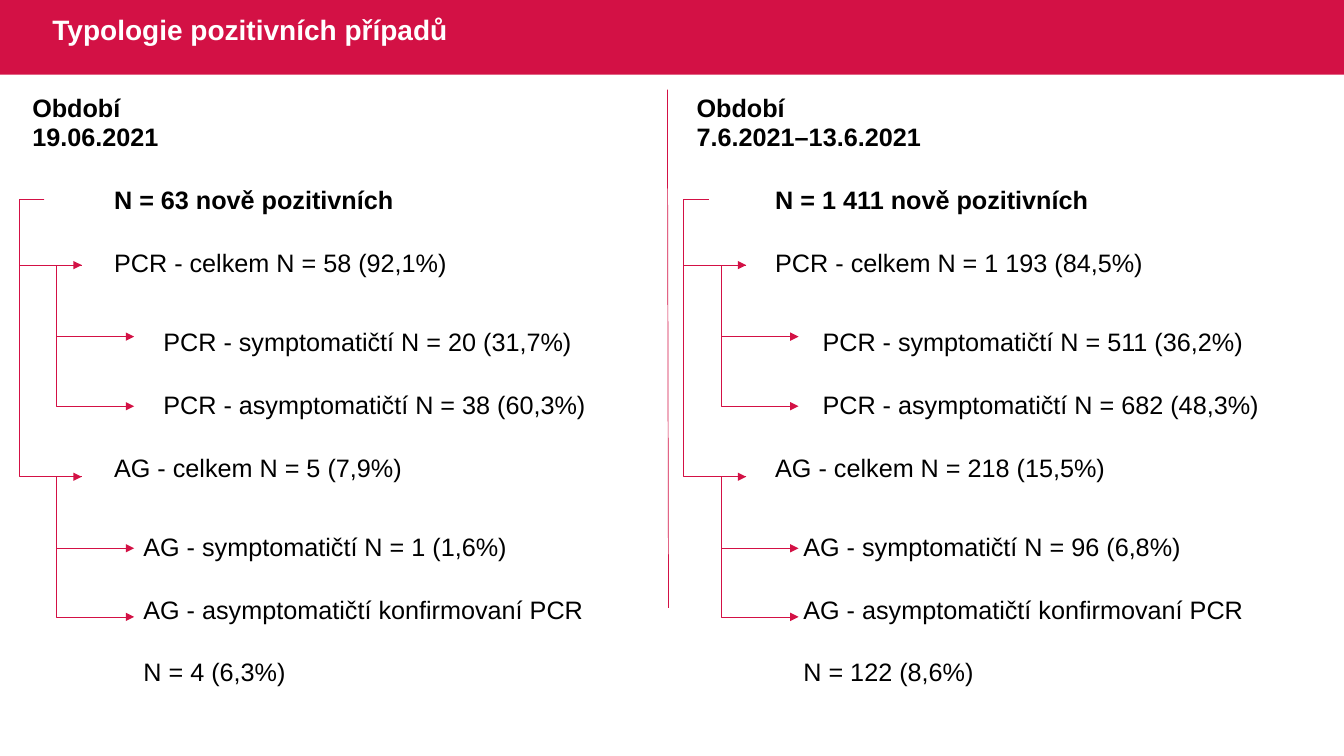
from dataclasses import dataclass
from typing import Any

from lxml.etree import SubElement
from pptx import Presentation
from pptx.dml.color import RGBColor
from pptx.enum.shapes import MSO_CONNECTOR, MSO_SHAPE
from pptx.enum.text import MSO_ANCHOR, MSO_AUTO_SIZE, PP_ALIGN
from pptx.oxml.ns import qn
from pptx.util import Inches, Pt


@dataclass(frozen=True)
class Theme:
    """Colours, font and sizes of the slide."""
    crimson: RGBColor = RGBColor(0xD3, 0x11, 0x45)
    black: RGBColor = RGBColor(0, 0, 0)
    white: RGBColor = RGBColor(0xFF, 0xFF, 0xFF)
    font: str = "Arial"
    title_size: Any = Pt(20)
    body_size: Any = Pt(18)
    line_width: Any = Pt(0.5)
    table_style: str = "{2D5ABB26-0587-4C30-8999-92F81FD0307C}"


@dataclass(frozen=True)
class RowStyle:
    """Column where the text of a row starts, its anchor and weight."""
    column: int
    anchor: Any
    bold: bool = False


@dataclass(frozen=True)
class Panel:
    """One period: horizontal places in percent of the slide and row texts."""
    left: float
    width: float
    tree_offset: float
    texts: tuple[str, ...]


@dataclass(frozen=True)
class Branch:
    """An arrow that leaves its start leftwards, follows a trunk and returns."""
    start_x: float
    start_y: float
    trunk_x: float
    end_x: float
    end_y: float


THEME = Theme()
WIDTH, HEIGHT = Inches(13.33), Inches(7.5)
TABLE_TOP, TABLE_HEIGHT = 8, 82.93
COLUMN_SHARES = (12.27, 4.4, 3, 80.33)
ROW_STYLES = (
    RowStyle(0, MSO_ANCHOR.BOTTOM, True),
    RowStyle(0, MSO_ANCHOR.TOP, True),
    RowStyle(1, MSO_ANCHOR.TOP, True),
    RowStyle(1, MSO_ANCHOR.TOP),
    RowStyle(3, MSO_ANCHOR.MIDDLE),
    RowStyle(3, MSO_ANCHOR.MIDDLE),
    RowStyle(1, MSO_ANCHOR.MIDDLE),
    RowStyle(2, MSO_ANCHOR.BOTTOM),
    RowStyle(2, MSO_ANCHOR.BOTTOM),
    RowStyle(2, MSO_ANCHOR.BOTTOM),
)
PANELS = (
    Panel(2.33, 49.59, 0, (
        "Období", "19.06.2021", "N = 63 nově pozitivních",
        "PCR - celkem N = 58 (92,1%)",
        "PCR - symptomatičtí N = 20 (31,7%)",
        "PCR - asymptomatičtí N = 38 (60,3%)",
        "AG - celkem N = 5 (7,9%)",
        "AG - symptomatičtí N = 1 (1,6%)",
        "AG - asymptomatičtí konfirmovaní PCR", "N = 4 (6,3%)")),
    Panel(51.76, 47.64, 49.44, (
        "Období", "7.6.2021–13.6.2021", "N = 1 411 nově pozitivních",
        "PCR - celkem N = 1 193 (84,5%)",
        "PCR - symptomatičtí N = 511 (36,2%)",
        "PCR - asymptomatičtí N = 682 (48,3%)",
        "AG - celkem N = 218 (15,5%)",
        "AG - symptomatičtí N = 96 (6,8%)",
        "AG - asymptomatičtí konfirmovaní PCR", "N = 122 (8,6%)")),
)
ROOT_Y, PCR_Y, AG_Y = 26.4, 35.07, 63.07
BRANCHES = (
    *(Branch(3.3, ROOT_Y, 1.42, 6.08, y) for y in (AG_Y, PCR_Y)),
    *(Branch(6.08, PCR_Y, 4.2, 9.98, y) for y in (44.53, 53.73)),
    *(Branch(6.08, AG_Y, 4.2, 9.98, y) for y in (72.53, 81.6)),
)


def across(percent: float) -> int:
    """Turn a percentage of the slide width into a length."""
    return round(WIDTH * percent / 100)


def down(percent: float) -> int:
    """Turn a percentage of the slide height into a length."""
    return round(HEIGHT * percent / 100)


def apply_format(target: Any, values: dict[str, Any]) -> None:
    """Set every attribute named in a dict."""
    for name, value in values.items():
        setattr(target, name, value)


def format_font(font: Any, size: int, color: RGBColor, bold: bool) -> None:
    """Give a font the theme's face with a size, colour and weight."""
    apply_format(font, {"name": THEME.font, "size": size, "bold": bold})
    font.color.rgb = color


def draw_header(slide: Any) -> None:
    """Draw the crimson bar behind the title and format the title."""
    bar = slide.shapes.add_shape(MSO_SHAPE.RECTANGLE, 0, 0, WIDTH, down(9.87))
    bar.shadow.inherit = False
    bar.fill.solid()
    bar.fill.fore_color.rgb = THEME.crimson
    bar.line.fill.background()
    title = slide.shapes.title
    title._element.addprevious(bar._element)
    apply_format(title, {"left": across(3.15), "top": 0,
                         "width": across(52.29), "height": down(8.4)})
    apply_format(title.text_frame, {
        "text": "Typologie pozitivních případů", "word_wrap": True,
        "auto_size": MSO_AUTO_SIZE.NONE, "vertical_anchor": MSO_ANCHOR.MIDDLE})
    paragraph = title.text_frame.paragraphs[0]
    apply_format(paragraph, {"alignment": PP_ALIGN.LEFT, "line_spacing": 0.9})
    format_font(paragraph.runs[0].font, THEME.title_size, THEME.white, True)


def draw_table(slide: Any, panel: Panel) -> None:
    """Draw the indented rows of one period as a borderless table."""
    last = len(COLUMN_SHARES) - 1
    table = slide.shapes.add_table(
        len(ROW_STYLES), len(COLUMN_SHARES), across(panel.left), down(TABLE_TOP),
        across(panel.width), down(TABLE_HEIGHT)).table
    apply_format(table, {"first_row": False, "horz_banding": False})
    table._tbl.tblPr.find(qn("a:tableStyleId")).text = THEME.table_style
    for column, share in zip(table.columns, COLUMN_SHARES):
        column.width = across(panel.width * share / 100)
    for cell in table.iter_cells():
        cell.fill.background()
    for index, (style, text) in enumerate(zip(ROW_STYLES, panel.texts)):
        cell = table.cell(index, style.column)
        if style.column < last:
            cell.merge(table.cell(index, last))
        else:
            table.cell(index, 1).merge(table.cell(index, 2))
        apply_format(cell, {
            "text": text, "vertical_anchor": style.anchor,
            "margin_left": Inches(0.01), "margin_right": Inches(0.01),
            "margin_top": Inches(0.01), "margin_bottom": 0})
        format_font(cell.text_frame.paragraphs[0].runs[0].font,
                    THEME.body_size, THEME.black, style.bold)


def format_line(connector: Any) -> None:
    """Give a connector the theme's line and no shadow."""
    connector.line.color.rgb = THEME.crimson
    connector.line.width = THEME.line_width
    SubElement(connector._element.spPr, qn("a:effectLst"))


def draw_branch(group: Any, branch: Branch, offset: float) -> None:
    """Draw one bent arrow, shifted to its panel."""
    connector = group.shapes.add_connector(
        MSO_CONNECTOR.ELBOW, across(branch.start_x + offset), down(branch.start_y),
        across(branch.end_x + offset), down(branch.end_y))
    format_line(connector)
    bend = (branch.trunk_x - branch.start_x) / (branch.end_x - branch.start_x)
    adjustments = connector._element.spPr.find(qn("a:prstGeom")).get_or_add_avLst()
    SubElement(adjustments, qn("a:gd"), name="adj1", fmla=f"val {round(bend * 100000)}")
    SubElement(connector.line._get_or_add_ln(), qn("a:tailEnd"), type="triangle")


def main() -> None:
    """Build and save the slide."""
    presentation = Presentation()
    apply_format(presentation, {"slide_width": WIDTH, "slide_height": HEIGHT})
    slide = presentation.slides.add_slide(presentation.slide_layouts[5])
    draw_header(slide)
    format_line(slide.shapes.add_connector(
        MSO_CONNECTOR.STRAIGHT, across(49.66), down(11.87), across(49.74), down(80.4)))
    for panel in PANELS:
        draw_table(slide, panel)
        group = slide.shapes.add_group_shape()
        for branch in BRANCHES:
            draw_branch(group, branch, panel.tree_offset)
    presentation.save("out.pptx")


if __name__ == "__main__":
    main()
